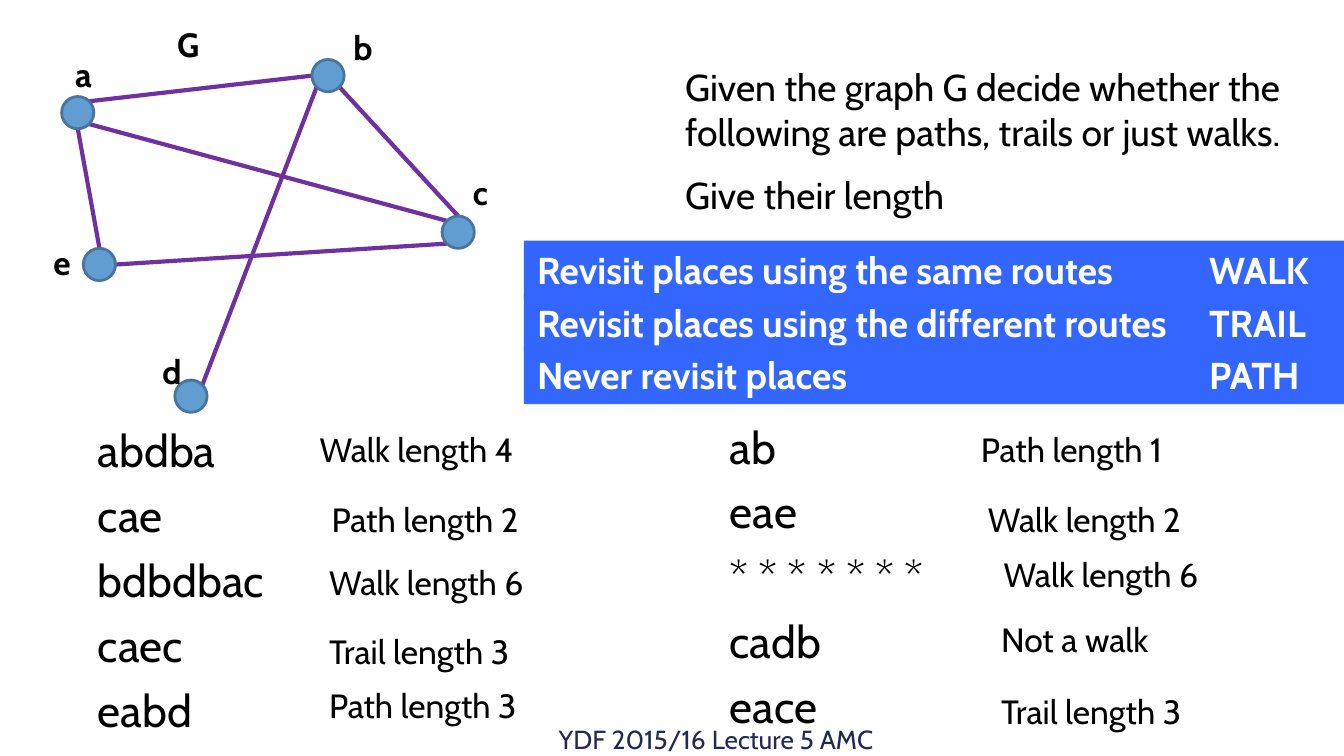
from dataclasses import dataclass
from math import cos, radians, sin

from lxml.etree import SubElement
from pptx import Presentation
from pptx.dml.color import RGBColor
from pptx.enum.shapes import MSO_CONNECTOR, MSO_SHAPE
from pptx.enum.text import MSO_ANCHOR, PP_ALIGN
from pptx.oxml.ns import qn
from pptx.util import Cm, Pt


@dataclass(frozen=True)
class Theme:
    font: str = "Cabin"
    ink: str = "000000"
    footer_ink: str = "242852"
    node_fill: str = "629DD1"
    node_line: str = "49749B"
    edge: str = "7030A0"
    band: str = "3366FF"
    band_ink: str = "FFFFFF"
    footer_size: int = 14
    label_size: int = 18
    body_size: int = 20
    list_size: int = 24
    node_width: float = 1.5
    edge_width: float = 2.25


THEME = Theme()
DIAMETER = 0.61
NODES = {
    "a": (1.47, 2.13),
    "b": (6.2, 1.43),
    "c": (8.66, 4.39),
    "d": (3.61, 7.49),
    "e": (1.88, 5),
}
COMPASS = {"E": 0, "SE": 45, "S": 90, "SW": 135, "W": 180, "NW": 225, "N": 270, "NE": 315}
EDGES = [
    ("a", "SE", "c", "NW"),
    ("b", "SW", "d", "NE"),
    ("b", "SE", "c", "N"),
    ("a", "NE", "b", "W"),
    ("c", "SW", "e", "E"),
    ("a", "S", "e", "N"),
]
LABELS = [
    ("a", 1.17, 0.89),
    ("b", 6.43, 0.38),
    ("c", 8.69, 3.12),
    ("d", 2.82, 6.5),
    ("e", 0.76, 4.45),
    ("G", 3.1, 0.33),
]
DEFINITIONS = [
    "Revisit places using the same routes\tWALK",
    "Revisit places using the different routes\tTRAIL",
    "Never revisit places\tPATH",
]
ANSWERS = [
    ("Walk length 4", 5.79, 7.98),
    ("Path length 2", 6.02, 9.3),
    ("Walk length 6", 5.97, 10.49),
    ("Trail length 3", 5.97, 11.81),
    ("Path length 3", 5.97, 12.83),
    ("Path length 1", 18.29, 7.98),
    ("Walk length 2", 18.42, 9.3),
    ("Walk length 6", 18.72, 10.34),
    ("Not a walk", 18.67, 11.58),
    ("Trail length 3", 18.67, 12.93),
]


def set_all(target, values):
    for name, value in values.items():
        setattr(target, name, value)


def write(frame, lines, size, color=THEME.ink, bold=False, gap=0,
          align=PP_ALIGN.LEFT, anchor=MSO_ANCHOR.TOP, tab=None):
    set_all(frame, {"word_wrap": True, "vertical_anchor": anchor})
    for index, line in enumerate(lines):
        para = frame.add_paragraph() if index else frame.paragraphs[0]
        if tab:
            tabs = SubElement(para._p.get_or_add_pPr(), qn("a:tabLst"))
            SubElement(tabs, qn("a:tab"), pos=str(Cm(tab)), algn="l")
        set_all(para, {"alignment": align, "space_before": Pt(gap if index else 0)})
        span = para.add_run()
        span.text = line
        set_all(span.font, {"name": THEME.font, "size": Pt(size), "bold": bold})
        span.font.color.rgb = RGBColor.from_string(color)


def add_text(page, left, top, width, height, lines, size, **formats):
    box = page.shapes.add_textbox(Cm(left), Cm(top), Cm(width), Cm(height))
    write(box.text_frame, lines, size, **formats)


def rim_point(node, direction):
    x, y = NODES[node]
    angle = radians(COMPASS[direction])
    return Cm(x + DIAMETER / 2 * cos(angle)), Cm(y + DIAMETER / 2 * sin(angle))


def add_edge(page, start, start_side, end, end_side):
    edge = page.shapes.add_connector(
        MSO_CONNECTOR.STRAIGHT, *rim_point(start, start_side), *rim_point(end, end_side))
    edge.line.color.rgb = RGBColor.from_string(THEME.edge)
    edge.line.width = Pt(THEME.edge_width)
    SubElement(edge._element.spPr, qn("a:effectLst"))


def add_node(page, x, y):
    node = page.shapes.add_shape(
        MSO_SHAPE.OVAL, Cm(x - DIAMETER / 2), Cm(y - DIAMETER / 2), Cm(DIAMETER), Cm(DIAMETER))
    node.shadow.inherit = False
    node.fill.solid()
    node.fill.fore_color.rgb = RGBColor.from_string(THEME.node_fill)
    node.line.color.rgb = RGBColor.from_string(THEME.node_line)
    node.line.width = Pt(THEME.node_width)


def add_graph(page):
    for edge in EDGES:
        add_edge(page, *edge)
    for center in NODES.values():
        add_node(page, *center)
    for name, left, top in LABELS:
        add_text(page, left, top, 0.99, 1.02, [name], THEME.label_size, bold=True)


def add_definition(page, top, text):
    band = page.shapes.add_shape(MSO_SHAPE.RECTANGLE, Cm(9.9), Cm(top), Cm(15.5), Cm(1.11))
    band.shadow.inherit = False
    band.fill.solid()
    band.fill.fore_color.rgb = RGBColor.from_string(THEME.band)
    band.line.fill.background()
    write(band.text_frame, [text], THEME.body_size, color=THEME.band_ink, bold=True, tab=12.7)


def main():
    deck = Presentation()
    set_all(deck, {"slide_width": Cm(25.4), "slide_height": Cm(14.29)})
    page = deck.slides.add_slide(deck.slide_layouts[6])

    add_text(page, 1.7, 13.59, 15.06, 0.76, ["YDF 2015/16 Lecture 5 AMC"], THEME.footer_size,
             color=THEME.footer_ink, align=PP_ALIGN.RIGHT, anchor=MSO_ANCHOR.MIDDLE)
    add_text(page, 12.7, 1.09, 12.04, 3.25, [
        "Given the graph G decide whether the following are paths, trails or just walks.",
        "Give their length",
    ], THEME.body_size, gap=10)
    add_graph(page)
    for index, text in enumerate(DEFINITIONS):
        add_definition(page, 4.55 + 0.99 * index, text)
    add_text(page, 1.6, 7.87, 4.27, 6.25, ["abdba", "cae", "bdbdbac", "caec", "eabd"],
             THEME.list_size, gap=6)
    add_text(page, 13.54, 7.8, 5.28, 7.77, ["ab", "eae", "* * * * * * *", "cadb", "eace"],
             THEME.list_size, gap=6)
    for text, left, top in ANSWERS:
        add_text(page, left, top, 4.67, 1.02, [text], THEME.label_size)

    deck.save("out.pptx")


if __name__ == "__main__":
    main()
